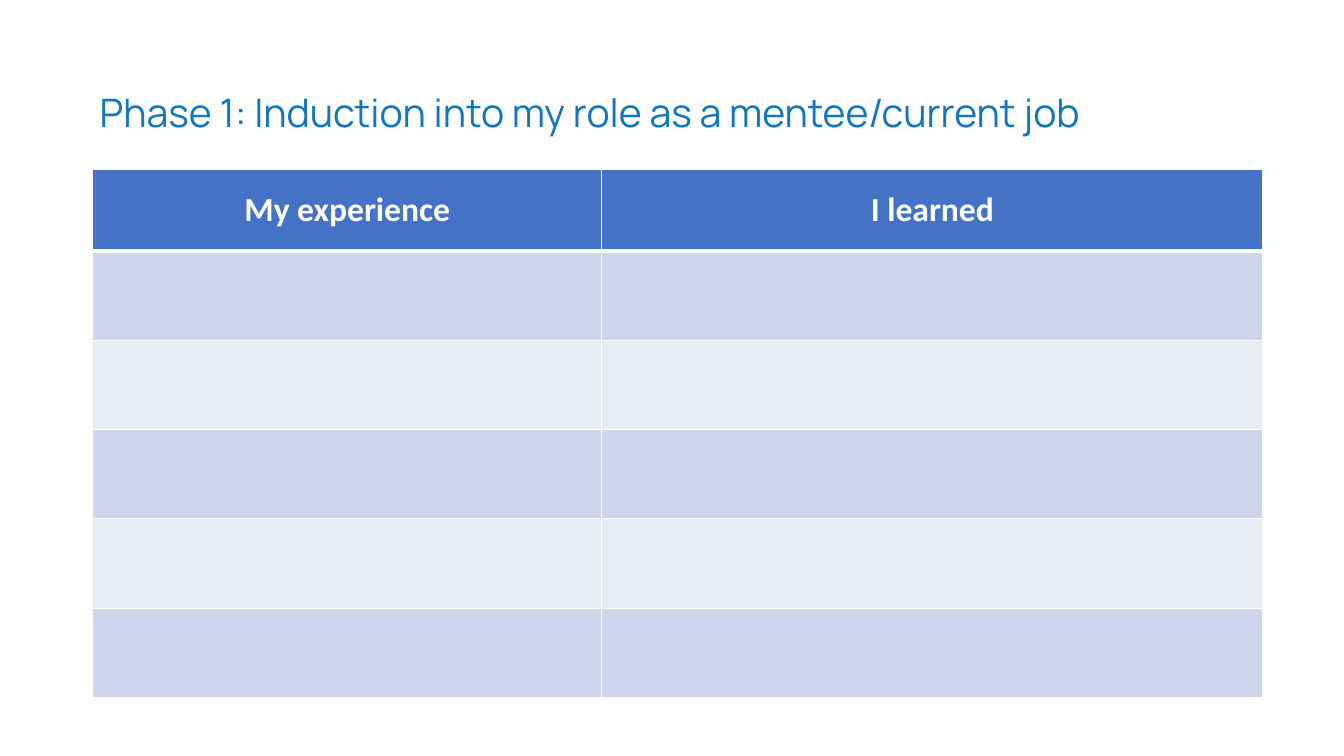
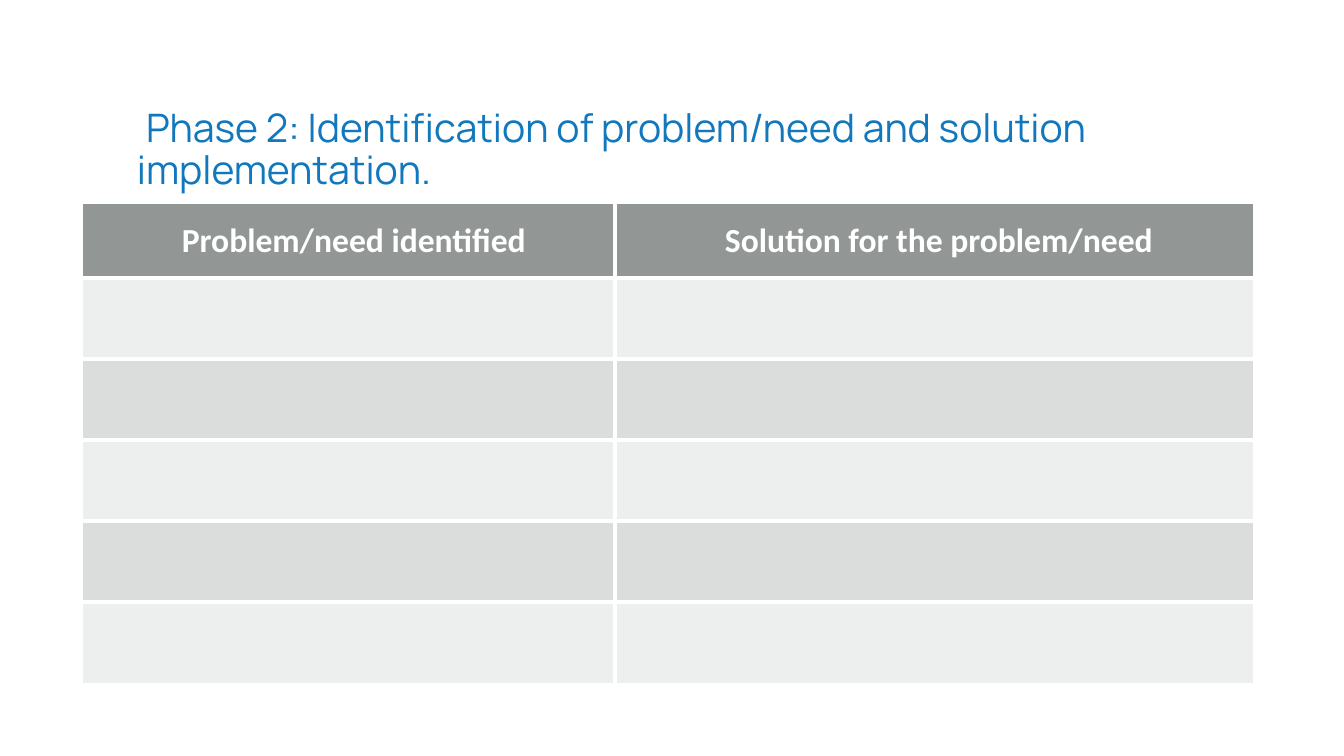
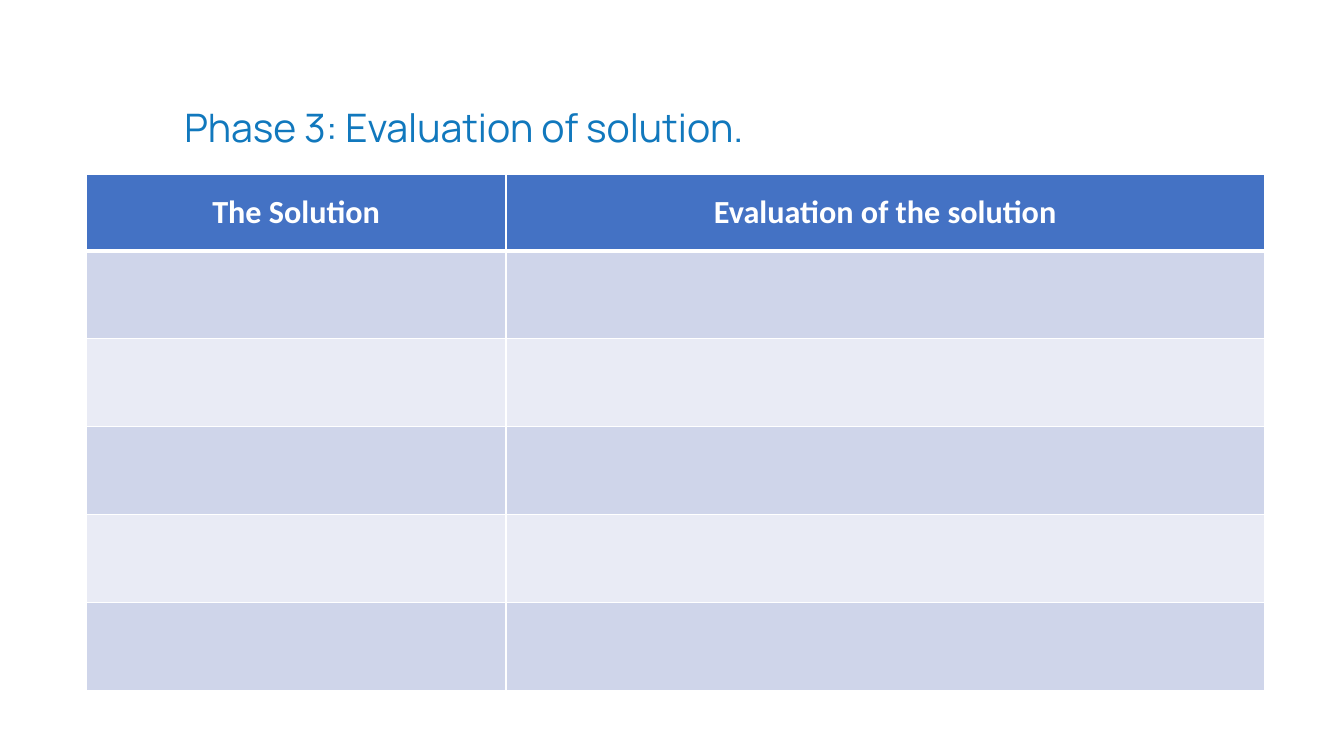
from lxml.etree import SubElement
from pptx import Presentation
from pptx.dml.color import RGBColor as RGB
from pptx.enum.text import MSO_ANCHOR as Anchor, PP_ALIGN as Align
from pptx.oxml.ns import qn
from pptx.util import Pt

PX = 9144  # 100 px to the inch
ROWS = 5
TITLE = RGB(0x11, 0x78, 0xBD)
WHITE = RGB(0xFF, 0xFF, 0xFF)
# header, odd rows, even rows
BLUE = RGB(0x44, 0x72, 0xC4), RGB(0xCF, 0xD5, 0xEA), RGB(0xE9, 0xEB, 0xF5)
GREY = RGB(0x92, 0x97, 0x95), RGB(0xED, 0xEE, 0xEE), RGB(0xDB, 0xDD, 0xDC)


def px(*vals):
    return [round(v * PX) for v in vals]


def edge(cell, widths):
    """Draw white left, right, top and bottom cell lines; 0 means no line."""
    props = cell._tc.get_or_add_tcPr()
    for i, (side, width) in enumerate(zip("LRTB", widths)):
        line = SubElement(props, qn(f"a:ln{side}"), w=str(Pt(width)))
        props.insert(i, line)
        if width:
            fill = SubElement(line, qn("a:solidFill"))
            SubElement(fill, qn("a:srgbClr"), val=str(WHITE))
        else:
            SubElement(line, qn("a:noFill"))


class Deck:
    def __init__(self):
        self.prs = Presentation()
        self.prs.slide_width, self.prs.slide_height = px(1333.33, 750)

    def slide(self):
        self.page = self.prs.slides.add_slide(self.prs.slide_layouts[6])

    def title(self, text, left, top, width):
        frame = self.page.shapes.add_textbox(*px(left, top, width, 83)).text_frame
        frame.word_wrap = True
        para = frame.paragraphs[0]
        para.text = text
        para.line_spacing = 0.9
        para._p.get_or_add_pPr().set("indent", str(9 * PX))
        font = para.font
        font.name, font.size, font.color.rgb = "Manrope", Pt(28), TITLE

    def table(self, heads, box, cols, top, tones, pads, size, inner, outer):
        """Place a header row of height top over equal empty rows."""
        grid = self.page.shapes.add_table(ROWS + 1, len(cols), *px(*box)).table
        grid.horz_banding = False
        for col, width in zip(grid.columns, px(*cols)):
            col.width = width
        rest = (box[3] - top) / ROWS
        for row, high in zip(grid.rows, px(top, *[rest] * ROWS)):
            row.height = high
        last = len(cols) - 1
        for r, row in enumerate(grid.rows):
            tone = tones[0] if r == 0 else tones[2 - r % 2]
            for c, cell in enumerate(row.cells):
                cell.fill.solid()
                cell.fill.fore_color.rgb = tone
                edge(cell, (inner if c else outer,
                            inner if c < last else outer,
                            outer if r == 0 else 3 if r == 1 else inner,
                            3 if r == 0 else inner if r < ROWS else outer))
        for cell, text in zip(grid.rows[0].cells, heads):
            self.head(cell, text, pads, size)

    def head(self, cell, text, pads, size):
        (cell.margin_left, cell.margin_top,
         cell.margin_right, cell.margin_bottom) = px(*pads)
        cell.vertical_anchor = Anchor.MIDDLE
        para = cell.text_frame.paragraphs[0]
        para.text = text
        para.alignment = Align.CENTER
        font = para.font
        font.name, font.size, font.bold = "Calibri", Pt(size), True
        font.color.rgb = WHITE


def main():
    deck = Deck()

    deck.slide()
    deck.title("Phase 1: Induction into my role as a mentee/current job", 80, 88, 1161)
    deck.table(("My experience", "I learned"), (92, 168, 1161, 524), (505, 656),
               81, BLUE, (17, 9, 17, 9), 24, 1, 1)

    deck.slide()
    deck.title("Phase 2: Identification of problem/need and solution implementation.",
               126, 103, 1161)
    deck.table(("Problem/need identified", "Solution for the problem/need"),
               (82, 202, 1161, 476), (528, 633), 74, GREY, (25, 15, 15, 15), 24, 3, 0)

    deck.slide()
    deck.title("Phase 3: Evaluation of solution.", 164, 103, 984)
    deck.table(("The Solution", "Evaluation of the solution"),
               (86, 173, 1169, 512), (416, 753), 76, BLUE, (17, 8, 17, 8), 23, 1, 1)

    deck.prs.save("out.pptx")


if __name__ == "__main__":
    main()
